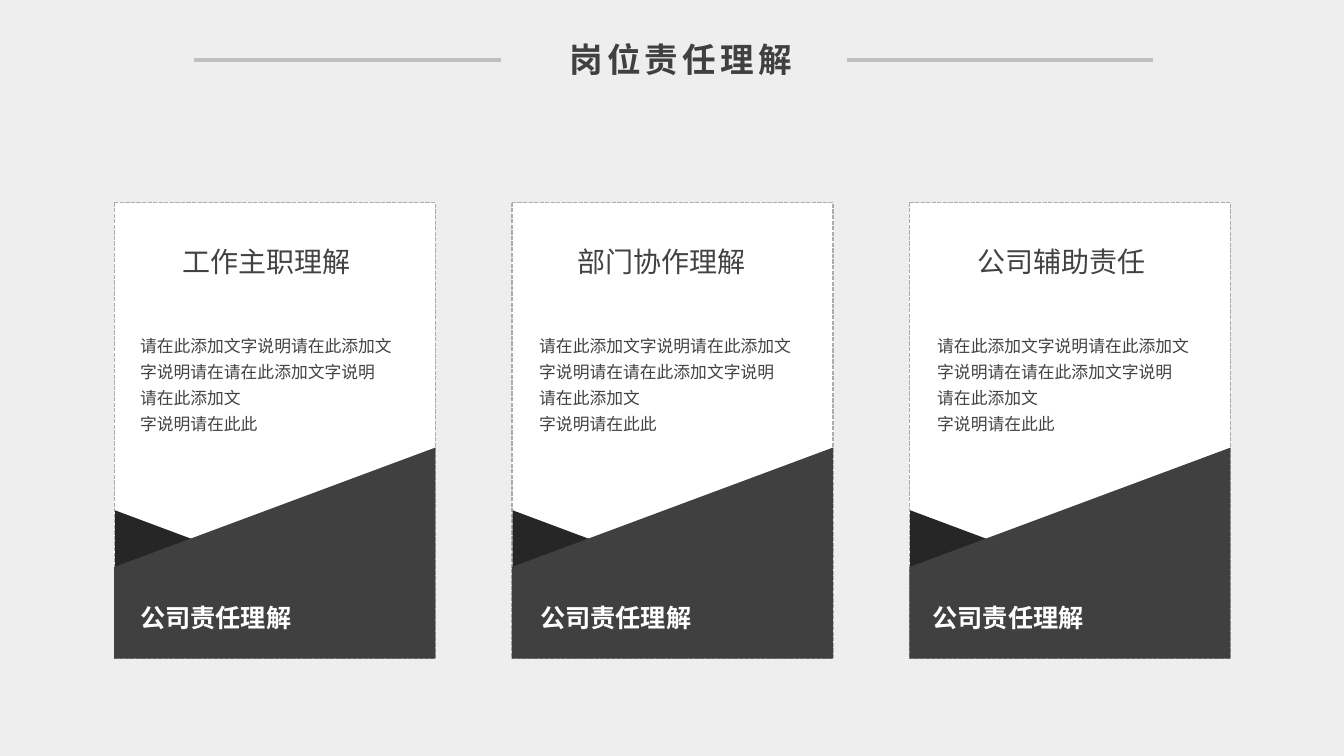
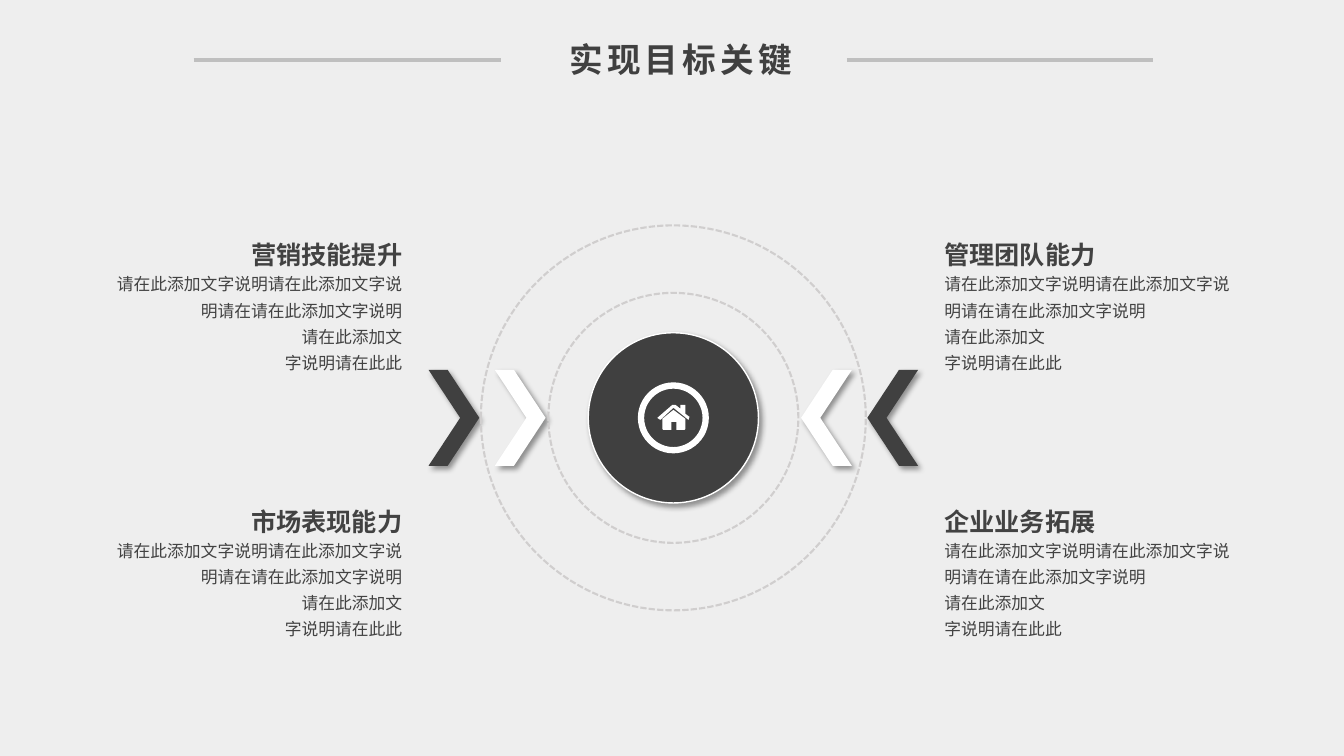
from lxml import etree
from pptx import Presentation
from pptx.dml.color import RGBColor
from pptx.enum.dml import MSO_LINE
from pptx.enum.shapes import MSO_CONNECTOR, MSO_SHAPE
from pptx.enum.text import MSO_ANCHOR as Anchor, PP_ALIGN as Align
from pptx.oxml import parse_xml
from pptx.oxml.ns import nsdecls, qn
from pptx.util import Cm, Pt

# Content
DUTY_TITLE = "岗位责任理解"
GOAL_TITLE = "实现目标关键"
BODY = [
    "请在此添加文字说明请在此添加文字说明请在请在此添加文字说明",
    "请在此添加文",
    "字说明请在此此",
]
CAPTION = "公司责任理解"
# heading, then left offsets of heading, body and caption inside the card
CARDS = [
    ("工作主职理解", 1.29, 0.4, 0.65),
    ("部门协作理解", 1.23, 0.44, 0.71),
    ("公司辅助责任", 1.28, 0.45, 0.58),
]
LEFT_SKILLS = ["营销技能提升", "市场表现能力"]
RIGHT_SKILLS = ["管理团队能力", "企业业务拓展"]

# Shared style
CJK = "Noto Sans CJK SC"
LATIN = "Arial"
PAPER, WHITE = "EEEEEE", "FFFFFF"
DARK, DARKER, INK = "404040", "262626", "424242"
RULE, CARD_EDGE, RING = "BFBFBF", "AFABAB", "D0CECE"
TITLE_RULES = [(4.88, 12.62), (21.34, 29.06)]
RULE_Y = 1.51

# Card geometry
CARD_LEFT, CARD_TOP, CARD_PITCH = 2.88, 5.11, 10.02
CARD_W, CARD_H = 8.09, 11.49
CARD_OUTLINE = [(0, 0), (CARD_W, 0), (CARD_W, CARD_H), (0, CARD_H)]
FLAP_OUTLINE = [(0.02, 7.75), (5.67, 9.86), (5.67, 11.47), (0.02, 11.47)]
FRONT_OUTLINE = [(CARD_W, 6.17), (0, 9.18), (0, CARD_H), (CARD_W, CARD_H)]

# Target geometry
CENTER_X, CENTER_Y = 16.97, 10.53
CHEVRON_W, CHEVRON_H = 1.28, 2.42
CHEVRONS = [(12.47, WHITE), (10.8, DARK)]
SKILL_LEFT, SKILL_TOP, SKILL_W, SKILL_PITCH = 23.55, 5.69, 7.75, 6.71
HOUSE_UNIT = 0.0254
ROOF = [(15, 2), (0, -10), (-13, 2), (-16, 0), (-1, -13), (2, -13),
        (7, -9), (7, -13), (12, -13), (12, -4), (16, -1)]
WALLS = [(12, 11), (11, 12), (3, 12), (3, 4), (-2, 4), (-2, 12),
         (-10, 12), (-11, 11), (-11, 1), (0, -8), (12, 1)]


def color(value):
    return RGBColor.from_string(value)


def write(page, text, left, top, width, height, size=12, ink=INK, bold=False,
          font=CJK, align=Align.LEFT, spacing=1.3, anchor=Anchor.TOP,
          inset=True, tracking=None):
    box = page.shapes.add_textbox(Cm(left), Cm(top), Cm(width), Cm(height))
    frame = box.text_frame
    frame.word_wrap = True
    frame.vertical_anchor = anchor
    if not inset:
        frame.margin_left = frame.margin_right = 0
        frame.margin_top = frame.margin_bottom = 0
    lines = [text] if isinstance(text, str) else text
    for index, line in enumerate(lines):
        para = frame.add_paragraph() if index else frame.paragraphs[0]
        para.alignment = align
        para.line_spacing = spacing
        span = para.add_run()
        span.text = line
        span.font.name = font
        span.font.size = Pt(size)
        span.font.bold = bold
        span.font.color.rgb = color(ink)
        props = span.font._element
        etree.SubElement(props, qn("a:ea")).set("typeface", CJK)
        if tracking:
            props.set("spc", str(tracking * 100))
    return box


def paint(shape, fill=None, edge=None, weight=1, dashed=False, shadow=False):
    shape.shadow.inherit = False
    if fill:
        shape.fill.solid()
        shape.fill.fore_color.rgb = color(fill)
    else:
        shape.fill.background()
    if edge:
        shape.line.color.rgb = color(edge)
        shape.line.width = Pt(weight)
        if dashed:
            shape.line.dash_style = MSO_LINE.SQUARE_DOT
    else:
        shape.line.fill.background()
    if shadow:
        effects = shape._element.spPr.find(qn("a:effectLst"))
        effects.append(parse_xml(
            f'<a:outerShdw {nsdecls("a")} blurRad="{Pt(4)}" dist="{Pt(3)}" '
            'dir="2700000" algn="tl" rotWithShape="0"><a:srgbClr val="000000">'
            '<a:alpha val="40000"/></a:srgbClr></a:outerShdw>'))


def outline(page, left, top, contours, unit=1, **look):
    builder = None
    for contour in contours:
        points = [(Cm(x * unit), Cm(y * unit)) for x, y in contour]
        if builder is None:
            builder = page.shapes.build_freeform(*points[0])
        else:
            builder.move_to(*points[0])
        builder.add_line_segments(points[1:], close=True)
    paint(builder.convert_to_shape(Cm(left), Cm(top)), **look)


def circle(page, diameter, **look):
    shape = page.shapes.add_shape(
        MSO_SHAPE.OVAL, Cm(CENTER_X - diameter / 2),
        Cm(CENTER_Y - diameter / 2), Cm(diameter), Cm(diameter))
    paint(shape, **look)


def chevron(page, left, fill, flipped):
    shape = page.shapes.add_shape(
        MSO_SHAPE.CHEVRON, Cm(left), Cm(CENTER_Y - CHEVRON_H / 2),
        Cm(CHEVRON_W), Cm(CHEVRON_H))
    shape.adjustments[0] = 0.623
    if flipped:
        shape._element.spPr.xfrm.set("flipH", "1")
    paint(shape, fill=fill, shadow=True)


def add_page(deck, title):
    page = deck.slides.add_slide(deck.slide_layouts[6])
    for start, end in TITLE_RULES:
        rule = page.shapes.add_connector(
            MSO_CONNECTOR.STRAIGHT, Cm(start), Cm(RULE_Y), Cm(end), Cm(RULE_Y))
        rule.line.color.rgb = color(RULE)
        rule.line.width = Pt(3)
        etree.SubElement(rule._element.spPr, qn("a:effectLst"))
    write(page, title, 12.75, 0.86, 8.81, 1.27, size=24, ink=DARK, bold=True,
          align=Align.CENTER, spacing=1.0, tracking=3)
    return page


def duty_page(deck):
    page = add_page(deck, DUTY_TITLE)
    for index, (heading, heading_dx, body_dx, caption_dx) in enumerate(CARDS):
        left = CARD_LEFT + index * CARD_PITCH
        outline(page, left, CARD_TOP, [CARD_OUTLINE], fill=WHITE,
                edge=CARD_EDGE, dashed=True)
        outline(page, left, CARD_TOP, [FLAP_OUTLINE], fill=DARKER)
        outline(page, left, CARD_TOP, [FRONT_OUTLINE], fill=DARK)
        write(page, CAPTION, left + caption_dx, 14.91, 6.7, 1.09, size=18,
              ink=WHITE, bold=True, font=LATIN, anchor=Anchor.MIDDLE,
              inset=False)
        write(page, heading, left + heading_dx, 5.92, 5.1, 1.09, size=20,
              font=LATIN, align=Align.CENTER, anchor=Anchor.MIDDLE,
              inset=False)
        write(page, BODY, left + body_dx, 8.18, 7.19, 2.92)


def goal_page(deck):
    page = add_page(deck, GOAL_TITLE)
    # Target with arrows pointing inwards
    circle(page, 4.29, fill=DARK, edge=WHITE, shadow=True)
    for left, fill in CHEVRONS:
        chevron(page, left, fill, False)
        chevron(page, 2 * CENTER_X - left - CHEVRON_W, fill, True)
    circle(page, 1.63, fill=DARK, edge=WHITE, weight=4.5)
    outline(page, CENTER_X, CENTER_Y, [ROOF, WALLS], unit=HOUSE_UNIT,
            fill=WHITE)
    for diameter in (9.7, 6.3):
        circle(page, diameter, edge=RING, weight=1.5, dashed=True)
    # Skills, mirrored about the centre
    mirrored = 2 * CENTER_X - SKILL_LEFT - SKILL_W
    for left, align, skills in ((SKILL_LEFT, Align.LEFT, RIGHT_SKILLS),
                                (mirrored, Align.RIGHT, LEFT_SKILLS)):
        for row, skill in enumerate(skills):
            top = SKILL_TOP + row * SKILL_PITCH
            write(page, skill, left, top, SKILL_W, 1.17, size=18, bold=True,
                  font=LATIN, align=align)
            write(page, BODY, left, top + 0.94, SKILL_W, 2.92, align=align)


def main():
    deck = Presentation()
    deck.slide_width, deck.slide_height = Cm(33.87), Cm(19.05)
    backdrop = deck.slide_master.background.fill
    backdrop.solid()
    backdrop.fore_color.rgb = color(PAPER)
    duty_page(deck)
    goal_page(deck)
    deck.save("out.pptx")


if __name__ == "__main__":
    main()
